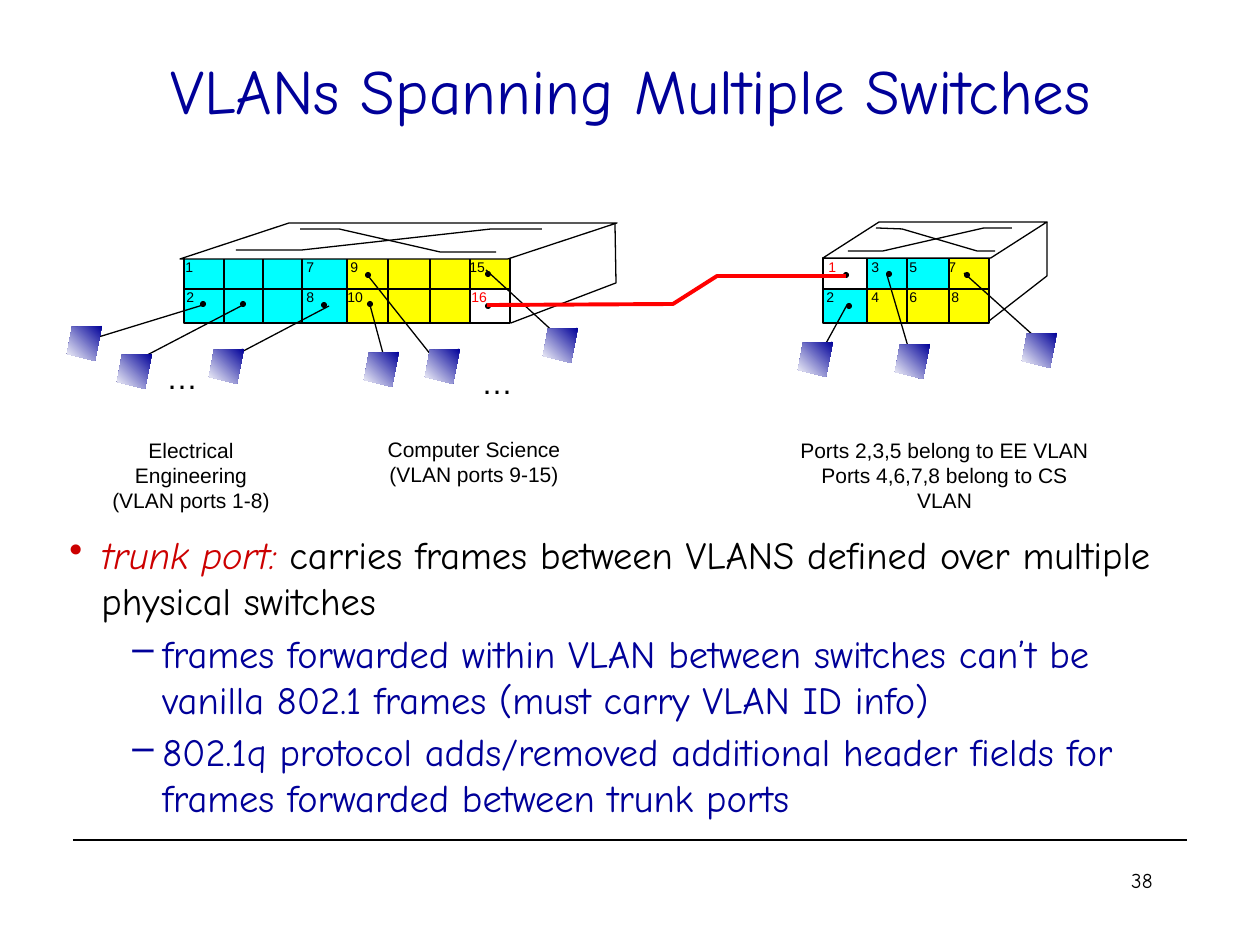
import dataclasses
import itertools

import lxml.etree
import pptx
import pptx.dml.color
import pptx.enum.shapes
import pptx.enum.text
import pptx.oxml.ns
import pptx.util

EMU_PER_PX = 914400 / 126
SHAPE = pptx.enum.shapes.MSO_SHAPE
ALIGN = pptx.enum.text.PP_ALIGN
ANCHOR = pptx.enum.text.MSO_ANCHOR


@dataclasses.dataclass(frozen=True)
class Theme:
    heading_font: str = "Comic Neue"
    label_font: str = "Arial"
    navy: str = "000099"
    crimson: str = "CC0000"
    black: str = "000000"
    white: str = "FFFFFF"
    ee_vlan: str = "00FFFF"
    cs_vlan: str = "FFFF00"
    trunk: str = "FF0000"
    title_size: int = 36
    body_size: int = 22
    dots_size: int = 18
    caption_size: int = 12
    port_size: int = 8
    thin: float = 0.75
    thick: float = 2.25
    bullet_gap: float = 3.5


def px(length):
    return round(length * EMU_PER_PX)


def rgb(color):
    return pptx.dml.color.RGBColor.from_string(color)


def qn(tag):
    return pptx.oxml.ns.qn(tag)


class SlideBuilder:
    def __init__(self, slide, theme):
        self.shapes = slide.shapes
        self.theme = theme

    def style(self, shape, fill=None, line=None, width=None):
        shape.shadow.inherit = False
        if fill:
            shape.fill.solid()
            shape.fill.fore_color.rgb = rgb(fill)
        else:
            shape.fill.background()
        if line:
            shape.line.color.rgb = rgb(line)
            shape.line.width = pptx.util.Pt(width or self.theme.thin)
        else:
            shape.line.fill.background()
        return shape

    def preset(self, kind, left, top, width, height, fill=None, line=None):
        shape = self.shapes.add_shape(kind, px(left), px(top), px(width), px(height))
        return self.style(shape, fill, line)

    def line(self, start, end):
        wire = self.shapes.add_connector(
            pptx.enum.shapes.MSO_CONNECTOR.STRAIGHT, *map(px, (*start, *end)))
        wire.line.color.rgb = rgb(self.theme.black)
        wire.line.width = pptx.util.Pt(self.theme.thin)
        lxml.etree.SubElement(wire._element.spPr, qn("a:effectLst"))

    def outline(self, points, color, close=False, width=None):
        builder = self.shapes.build_freeform(*points[0], scale=EMU_PER_PX)
        builder.add_line_segments(points[1:], close=close)
        return self.style(builder.convert_to_shape(), line=color, width=width)

    def dot(self, x, y):
        self.preset(SHAPE.OVAL, x - 3, y - 3, 6, 6, self.theme.black)

    def computer(self, left, top):
        corners = [(35, 0), (5, 1), (0, 28), (28, 35)]
        screen = self.outline([(left + x, top + y) for x, y in corners], None, close=True)
        screen.fill.gradient()
        screen.fill.gradient_angle = 225
        for stop, color in zip(screen.fill.gradient_stops, (self.theme.navy, self.theme.white)):
            stop.color.rgb = rgb(color)

    def font(self, run, size, color, name, italic=False):
        run.font.size = pptx.util.Pt(size)
        run.font.color.rgb = rgb(color)
        run.font.name = name
        run.font.italic = italic

    def text(self, box, lines, size, color=None, font=None, align=ALIGN.CENTER,
             wrap=True, anchor=ANCHOR.TOP):
        frame = self.shapes.add_textbox(*map(px, box)).text_frame
        frame.word_wrap = wrap
        frame.vertical_anchor = anchor
        for index, content in enumerate(lines):
            paragraph = frame.add_paragraph() if index else frame.paragraphs[0]
            paragraph.text = content
            paragraph.alignment = align
            self.font(paragraph.runs[0], size, color or self.theme.black,
                      font or self.theme.label_font)
        return frame

    def bullet(self, paragraph, mark, level, margin, hanging):
        paragraph.level = level
        properties = paragraph._p.get_or_add_pPr()
        properties.set("marL", str(px(margin)))
        properties.set("indent", str(-px(hanging)))
        lxml.etree.SubElement(properties, qn("a:buChar")).set("char", mark)

    def switch(self, columns, rows, blocks, roof, slant, side, crossing):
        """Draw one switch; each block is first column, end column, first row, end row, fill."""
        black = self.theme.black
        for first, end, upper, lower, fill in blocks:
            left, top = columns[first], rows[upper]
            self.preset(SHAPE.RECTANGLE, left, top, columns[end] - left, rows[lower] - top, fill)
        left, right, top, bottom = columns[0], columns[-1], rows[0], rows[-1]
        self.preset(SHAPE.RECTANGLE, left, top, right - left, bottom - top, line=black)
        self.line((left, rows[1]), (right, rows[1]))
        for x in columns[1:-1]:
            self.line((x, top), (x, bottom))
        lid = self.preset(SHAPE.PARALLELOGRAM, *roof, self.theme.white, black)
        lid.adjustments[0] = slant
        for points in (side, *crossing):
            self.outline(points, black)


def draw_network(page):
    theme = page.theme
    ee, cs = theme.ee_vlan, theme.cs_vlan
    rows = [258, 289, 323]
    page.switch(
        [184, 224, 263, 302, 347, 388, 430, 470, 510], rows,
        [(0, 1, 0, 1, ee), (0, 1, 1, 2, ee), (1, 4, 0, 2, ee), (4, 7, 0, 2, cs), (7, 8, 0, 1, cs)],
        (180, 223, 437, 36), 3.03, [(511, 323), (616, 283), (615, 223)],
        [[(236, 250), (302, 250), (491, 229), (542, 229)],
         [(300, 229), (339, 229), (440, 252), (496, 252)]])
    page.switch(
        [823, 867, 907, 949, 989], rows,
        [(1, 2, 0, 1, ee), (2, 3, 0, 1, ee), (3, 4, 0, 1, cs), (0, 1, 1, 2, ee),
         (1, 2, 1, 2, cs), (2, 3, 1, 2, cs), (3, 4, 1, 2, cs)],
        (823, 222, 224, 36), 1.56, [(1047, 222), (1047, 276), (989, 321)],
        [[(848, 251), (883, 251), (984, 228), (1012, 228)],
         [(876, 228), (902, 229), (977, 251), (995, 251)]])

    # Port dot, wire start, wire end, computer corner
    hosts = [
        ((203, 304), (203, 305), (79, 343), (67, 326)),
        ((243, 304), (243, 305), (132, 363), (117, 354)),
        ((324, 305), (329, 306), (232, 357), (209, 349)),
        ((370, 304), (370, 305), (384, 357), (364, 352)),
        ((368, 275), (369, 277), (435, 360), (425, 349)),
        ((488, 274), (486, 270), (558, 336), (543, 328)),
        ((849, 306), (847, 305), (824, 347), (798, 342)),
        ((889, 274), (887, 275), (912, 360), (895, 344)),
        ((967, 275), (964, 273), (1034, 336), (1022, 333)),
    ]
    for port, start, end, corner in hosts:
        page.line(start, end)
        page.dot(*port)
        page.computer(*corner)

    upper_ports = [("1", 173), ("7", 294), ("9", 338), ("15", 457),
                   ("1", 816), ("3", 859), ("5", 897), ("7", 936)]
    lower_ports = [("2", 174), ("8", 294), ("10", 335), ("16", 459),
                   ("2", 814), ("4", 859), ("6", 897), ("8", 939)]
    trunk_ports = [("16", 459), ("1", 816)]
    for port, top in itertools.chain(zip(upper_ports, itertools.repeat(252)),
                                     zip(lower_ports, itertools.repeat(282))):
        number, left = port
        page.text((left, top, 24 + 9 * len(number), 29), [number], theme.port_size,
                  theme.trunk if port in trunk_ports else theme.black,
                  align=ALIGN.LEFT, wrap=False)

    page.dot(488, 306)
    page.dot(846, 275)
    page.outline([(487, 305), (673, 304), (717, 276), (846, 276)], theme.trunk, width=theme.thick)

    for left, top in [(154, 352), (469, 357)]:
        page.text((left, top, 57, 50), ["…"], theme.dots_size, align=ALIGN.LEFT, wrap=False)
    page.text((82, 431, 218, 88), ["Electrical Engineering", "(VLAN ports 1-8)"],
              theme.caption_size)
    page.text((375, 430, 198, 63), ["Computer Science", "(VLAN ports 9-15)"],
              theme.caption_size, wrap=False)
    page.text((779, 431, 331, 63),
              ["Ports 2,3,5 belong to EE VLAN", "Ports 4,6,7,8 belong to CS VLAN"],
              theme.caption_size, wrap=False)


def draw_explanation(page):
    theme = page.theme
    frame = page.text((57, 525, 1143, 370), [
        "trunk port: ",
        "frames forwarded within VLAN between switches can’t be vanilla 802.1 frames "
        "(must carry VLAN ID info)",
        "802.1q protocol adds/removed additional header fields for frames forwarded "
        "between trunk ports",
    ], theme.body_size, theme.navy, theme.heading_font, ALIGN.LEFT)
    definition, *details = frame.paragraphs
    page.font(definition.runs[0], theme.body_size, theme.crimson, theme.heading_font, italic=True)
    meaning = definition.add_run()
    meaning.text = "carries frames between VLANS defined over multiple physical switches"
    page.font(meaning, theme.body_size, theme.black, theme.heading_font)
    page.bullet(definition, "•", 0, 32, 32)
    for detail in details:
        detail.space_before = pptx.util.Pt(theme.bullet_gap)
        page.bullet(detail, "–", 1, 93, 30)


def main():
    deck = pptx.Presentation()
    deck.slide_width, deck.slide_height = px(1260), px(945)
    theme = Theme()
    page = SlideBuilder(deck.slides.add_slide(deck.slide_layouts[6]), theme)
    page.line((73, 840), (1187, 840))
    page.text((95, 10, 1071, 158), ["VLANs Spanning Multiple Switches"], theme.title_size,
              theme.navy, theme.heading_font, anchor=ANCHOR.MIDDLE)
    draw_network(page)
    draw_explanation(page)
    page.text((903, 861, 262, 63), ["38"], theme.caption_size, font=theme.heading_font,
              align=ALIGN.RIGHT)
    deck.save("out.pptx")


if __name__ == "__main__":
    main()
